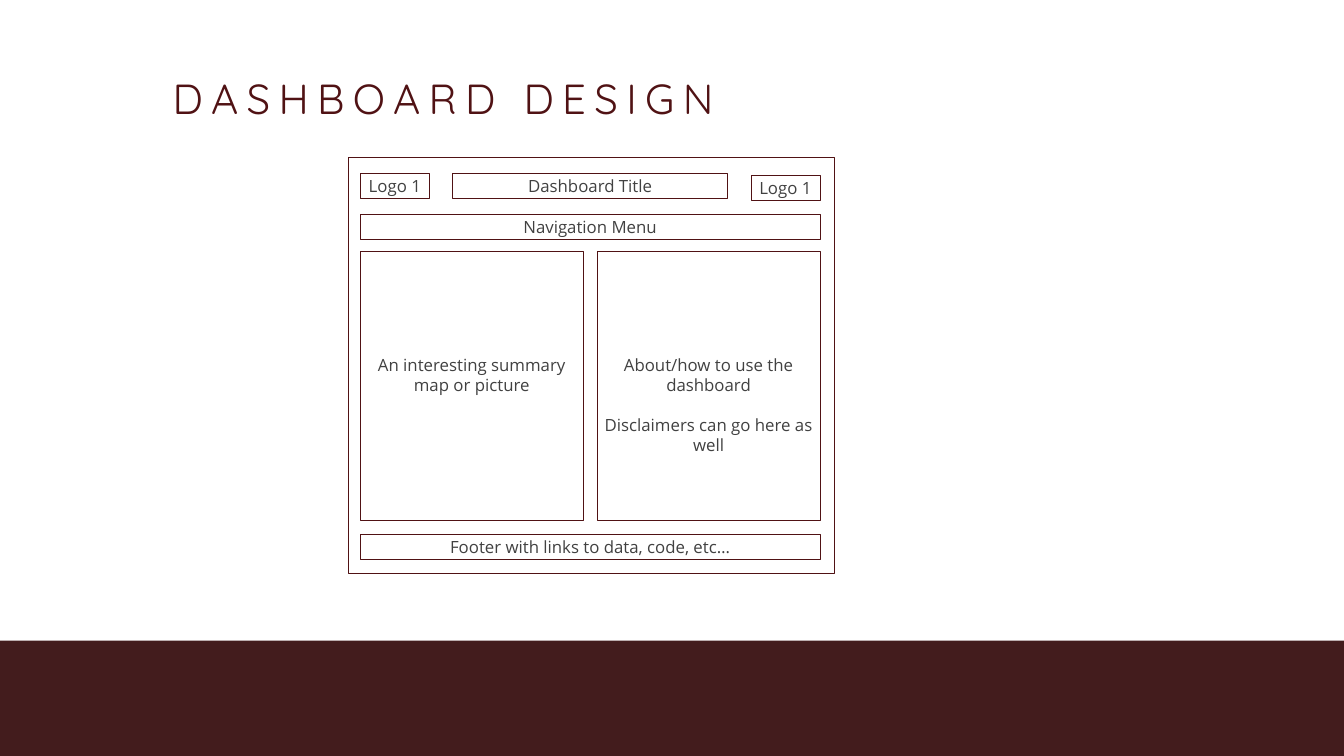
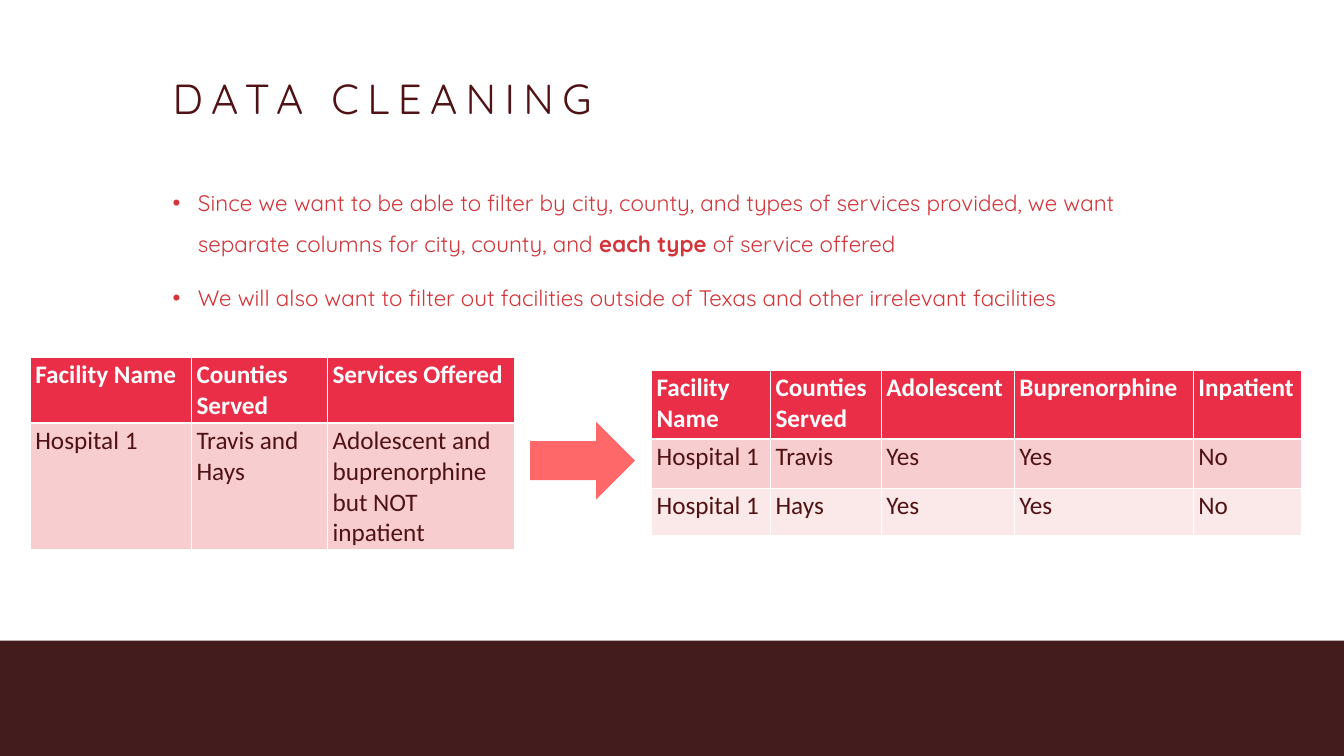
from pptx import Presentation
from pptx import util as u
from pptx.dml.color import RGBColor
from pptx.enum import shapes, text
from pptx.oxml import ns, xmlchemy

Inches, Pt = u.Inches, u.Pt
MSO, ALIGN, ANCHOR = shapes.MSO_SHAPE, text.PP_ALIGN, text.MSO_ANCHOR

# Shared colours
WHITE = RGBColor(0xFF, 0xFF, 0xFF)
MAROON = RGBColor(0x50, 0x12, 0x14)
BAND = RGBColor(0x43, 0x1C, 0x1D)
GREY = RGBColor(0x41, 0x41, 0x41)
RED = RGBColor(0xD2, 0x35, 0x3A)
HEADER = RGBColor(0xEB, 0x2E, 0x47)
ROWS = [RGBColor(0xF7, 0xCD, 0xCF), RGBColor(0xFB, 0xE8, 0xE9)]
ARROW = RGBColor(0xFE, 0x68, 0x69)

# Shared text formats
TITLE = {"name": "Quicksand", "size": Pt(60), "color": MAROON}
BODY = {"name": "Quicksand", "size": Pt(32), "color": RED}
LABEL = {"name": "Open Sans", "size": Pt(24), "color": GREY}
HEAD_CELL = {"name": "Calibri", "size": Pt(36), "color": WHITE, "bold": True}
CELL = {**HEAD_CELL, "color": MAROON, "bold": False}

SLIDE_W, SLIDE_H = 26.67, 15
BAND_TOP = 12.71
LABEL_LINE = 0.4


def add_run(p, words, fmt):
    r = p.add_run()
    r.text = words
    for key, value in fmt.items():
        if key == "color":
            r.font.color.rgb = value
        else:
            setattr(r.font, key, value)
    return r


def add_box(slide, box, kind=MSO.RECTANGLE, fill=None, line=None):
    sp = slide.shapes.add_shape(kind, *map(Inches, box))
    sp.shadow.inherit = False
    if fill is None:
        sp.fill.background()
    else:
        sp.fill.solid()
        sp.fill.fore_color.rgb = fill
    if line is None:
        sp.line.fill.background()
    else:
        sp.line.color.rgb = MAROON
        sp.line.width = Pt(line)
    return sp


def add_textbox(slide, box):
    tf = slide.shapes.add_textbox(*map(Inches, box)).text_frame
    tf.word_wrap = True
    return tf


def add_base(prs, title):
    """Blank slide with the bottom band and the spaced title."""
    slide = prs.slides.add_slide(prs.slide_layouts[6])
    add_box(slide, (0, BAND_TOP, SLIDE_W, SLIDE_H - BAND_TOP), fill=BAND)
    p = add_textbox(slide, (3.33, 1.5, 20, 1.25)).paragraphs[0]
    p.line_spacing = 0.9
    r = add_run(p, title, TITLE)
    r.font._element.set("spc", "1200")
    return slide


def add_label(slide, box, lines, top=None):
    """Outlined box with centred text, in the middle or from a given top."""
    tf = add_box(slide, box, line=0.75).text_frame
    tf.word_wrap = True
    tf.vertical_anchor = ANCHOR.MIDDLE if top is None else ANCHOR.TOP
    if top is not None:
        tf.margin_top = Inches(top)
    for i, words in enumerate(lines):
        p = tf.add_paragraph() if i else tf.paragraphs[0]
        p.alignment = ALIGN.CENTER
        if i:
            p.space_before = Inches(LABEL_LINE)
        add_run(p, words, LABEL)


def add_wireframe(slide, box):
    x, y, w, h = box
    add_box(slide, box, line=1)
    left, inner, bar = x + 0.23, 9.12, 0.5
    right = left + inner

    # Header row
    logo = 1.37
    add_label(slide, (left, y + 0.32, logo, bar), ["Logo 1"])
    add_label(slide, (x + 2.06, y + 0.32, 5.46, bar), ["Dashboard Title"])
    add_label(slide, (right - logo, y + 0.35, logo, bar), ["Logo 1"])

    # Full-width bars
    add_label(slide, (left, y + 1.13, inner, bar), ["Navigation Menu"])
    add_label(slide, (left, y + h - 0.77, inner, bar),
              ["Footer with links to data, code, etc…"])

    # Two panels, whose text starts five lines down
    panel = 4.42
    panels = [(left, ["An interesting summary map or picture"]),
              (right - panel, ["About/how to use the dashboard",
                               "Disclaimers can go here as well"])]
    for px, lines in panels:
        add_label(slide, (px, y + 1.86, panel, 5.35), lines,
                  top=0.05 + 5 * LABEL_LINE)


def add_bullets(slide, box, items):
    """Each item is a list of (words, bold) pairs."""
    tf = add_textbox(slide, box)
    for i, item in enumerate(items):
        p = tf.add_paragraph() if i else tf.paragraphs[0]
        p.line_spacing = 1.5
        p.space_before = Pt(20)
        pPr = p._p.get_or_add_pPr()
        pPr.set("marL", str(Inches(0.5)))
        pPr.set("indent", str(-Inches(0.5)))
        for tag, key, value in (("a:buFont", "typeface", "Arial"),
                                ("a:buChar", "char", "•")):
            bullet = xmlchemy.OxmlElement(tag)
            bullet.set(key, value)
            pPr.append(bullet)
        for words, bold in item:
            add_run(p, words, {**BODY, "bold": bold})


def set_borders(cell, bottom):
    """White lines on all sides; they go before the fill in the cell."""
    tcPr = cell._tc.get_or_add_tcPr()
    sides = {"L": 1, "R": 1, "T": 1, "B": bottom}
    for i, (side, width) in enumerate(sides.items()):
        ln = xmlchemy.OxmlElement(f"a:ln{side}")
        ln.set("w", str(Pt(width)))
        fill = xmlchemy.OxmlElement("a:solidFill")
        clr = xmlchemy.OxmlElement("a:srgbClr")
        clr.set("val", str(WHITE))
        fill.append(clr)
        ln.append(fill)
        tcPr.insert(i, ln)


def add_data_table(slide, box, widths, heights, rows):
    frame = slide.shapes.add_table(len(rows), len(widths), *map(Inches, box))
    table = frame.table
    for col, width in zip(table.columns, widths):
        col.width = Inches(width)
    for row, height in zip(table.rows, heights):
        row.height = Inches(height)
    frame.height = Inches(box[3])
    for i, row in enumerate(rows):
        for j, words in enumerate(row):
            cell = table.cell(i, j)
            cell.fill.solid()
            cell.fill.fore_color.rgb = ROWS[(i - 1) % 2] if i else HEADER
            set_borders(cell, bottom=1 if i else 3)
            add_run(cell.text_frame.paragraphs[0], words,
                    CELL if i else HEAD_CELL)


def add_cleaning(slide, box):
    """Table before, arrow, table after."""
    x, y, w, h = box
    add_data_table(slide, (x, y, 9.59, h), [3.2, 2.7, 3.7], [1.31, 2.02], [
        ["Facility Name", "Counties Served", "Services Offered"],
        ["Hospital 1", "Travis and Hays",
         "Adolescent and buprenorphine but NOT inpatient"]])
    add_box(slide, (x + 9.92, y + 1.29, 2.08, 1.54), MSO.RIGHT_ARROW, ARROW)
    after_w = 12.88
    add_data_table(
        slide, (x + w - after_w, y + 0.26, after_w, 3.29),
        [2.36, 2.2, 2.64, 3.55, 2.14], [1.37, 0.97, 0.95], [
            ["Facility Name", "Counties Served", "Adolescent",
             "Buprenorphine", "Inpatient"],
            ["Hospital 1", "Travis", "Yes", "Yes", "No"],
            ["Hospital 1", "Hays", "Yes", "Yes", "No"]])


def main():
    prs = Presentation()
    prs.slide_width, prs.slide_height = Inches(SLIDE_W), Inches(SLIDE_H)

    slide = add_base(prs, "DASHBOARD DESIGN")
    add_wireframe(slide, (6.92, 3.12, 9.63, 8.25))

    slide = add_base(prs, "DATA CLEANING")
    add_bullets(slide, (3.33, 3.44, 20, 7.67), [
        [("Since we want to be able to filter by city, county, and types of "
          "services provided, we want separate columns for city, county, "
          "and ", False),
         ("each type ", True),
         ("of service offered", False)],
        [("We will also want to filter out facilities outside of Texas and "
          "other irrelevant facilities", False)]])
    add_cleaning(slide, (0.6, 7.08, 25.21, 3.81))

    prs.save("out.pptx")


if __name__ == "__main__":
    main()
